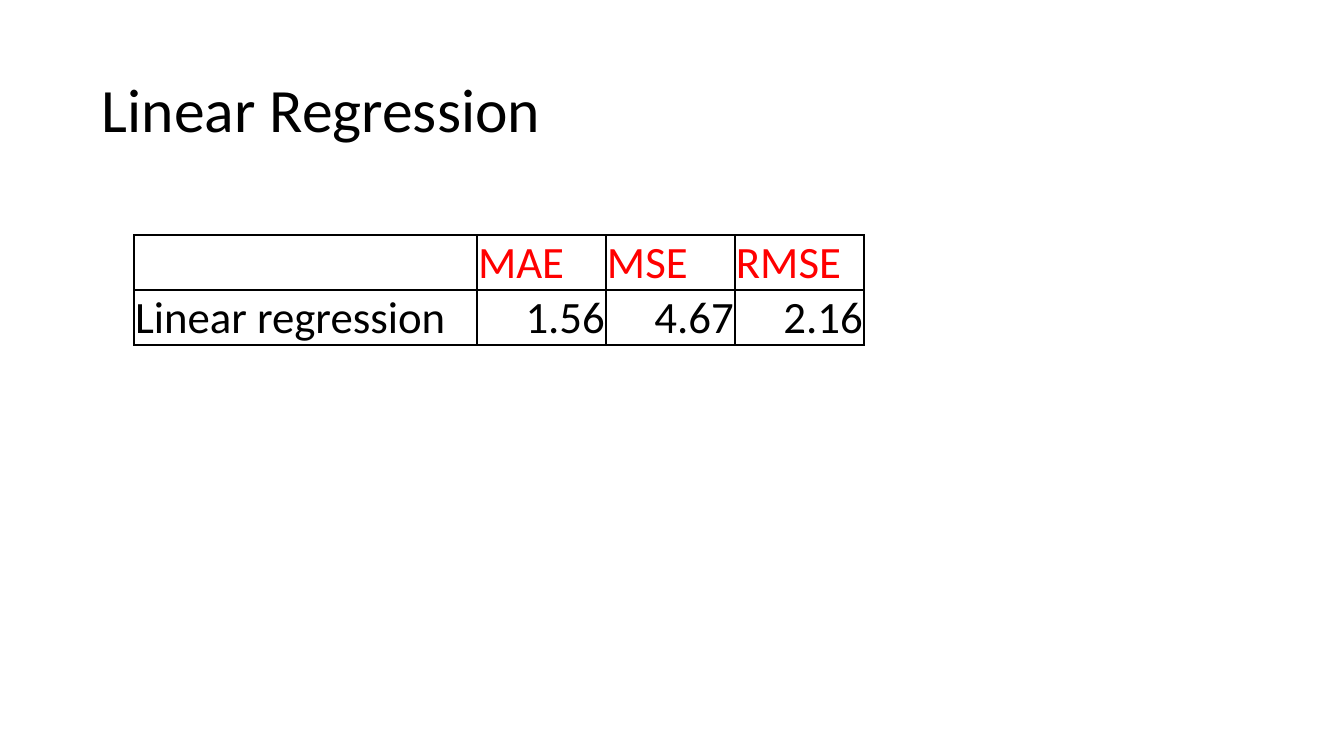
import dataclasses

import pptx
import pptx.dml.color
import pptx.enum.text
import pptx.oxml
import pptx.oxml.ns
import pptx.util

EMU_PER_PX = 914400 / 100.8
ANCHOR = pptx.enum.text.MSO_ANCHOR
ALIGN = pptx.enum.text.PP_ALIGN


@dataclasses.dataclass(frozen=True)
class Theme:
    font: str = "Calibri"
    text: str = "000000"
    header: str = "FF0000"
    border: str = "000000"
    title_size: int = 44
    table_size: int = 32
    border_width: int = 1


THEME = Theme()


def px(n):
    return pptx.util.Emu(round(n * EMU_PER_PX))


def apply(obj, values):
    for name, value in values.items():
        setattr(obj, name, value)


def write(tf, text, size, color, **paragraph):
    p = tf.paragraphs[0]
    apply(p, paragraph)
    r = p.add_run()
    r.text = text
    apply(r.font, {"name": THEME.font, "size": pptx.util.Pt(size)})
    r.font.color.rgb = pptx.dml.color.RGBColor.from_string(color)


def add_title(slide, text, left, top, width, height):
    sp = slide.shapes.add_textbox(px(left), px(top), px(width), px(height))
    tf = sp.text_frame
    apply(tf, {"word_wrap": True, "vertical_anchor": ANCHOR.MIDDLE})
    write(tf, text, THEME.title_size, THEME.text, line_spacing=0.9)


def add_borders(cell):
    tc_pr = cell._tc.get_or_add_tcPr()
    width = pptx.util.Pt(THEME.border_width)
    for side in "LRTB":
        tc_pr.append(pptx.oxml.parse_xml(
            f'<a:ln{side} {pptx.oxml.ns.nsdecls("a")} w="{width}">'
            f'<a:solidFill><a:srgbClr val="{THEME.border}"/></a:solidFill>'
            f'</a:ln{side}>'))


def format_cell(cell, text, is_header, is_value):
    apply(cell, {
        "vertical_anchor": ANCHOR.BOTTOM,
        "margin_left": px(1),
        "margin_right": px(1),
        "margin_top": px(1),
        "margin_bottom": 0,
    })
    add_borders(cell)
    cell.fill.background()
    if text:
        write(cell.text_frame, text, THEME.table_size,
              THEME.header if is_header else THEME.text,
              alignment=ALIGN.RIGHT if is_value else ALIGN.LEFT)


def add_error_table(slide, rows, left, top, widths, row_height):
    frame = slide.shapes.add_table(
        len(rows), len(widths), px(left), px(top),
        px(sum(widths)), px(row_height * len(rows)))
    table = frame.table
    apply(table, {"first_row": False, "horz_banding": False})
    for column, width in zip(table.columns, widths):
        column.width = px(width)
    for i, row in enumerate(rows):
        table.rows[i].height = px(row_height)
        for j, text in enumerate(row):
            format_cell(table.cell(i, j), text, i == 0, i > 0 and j > 0)


def main():
    prs = pptx.Presentation()
    apply(prs, {"slide_width": px(1344), "slide_height": px(756)})
    slide = prs.slides.add_slide(prs.slide_layouts[6])
    add_title(slide, "Linear Regression", 92, 40, 1159, 146)
    errors = [
        ["", "MAE", "MSE", "RMSE"],
        ["Linear regression", "1.56", "4.67", "2.16"],
    ]
    add_error_table(slide, errors, 134, 235, [343] + [129] * 3, 55)
    prs.save("out.pptx")


main()
